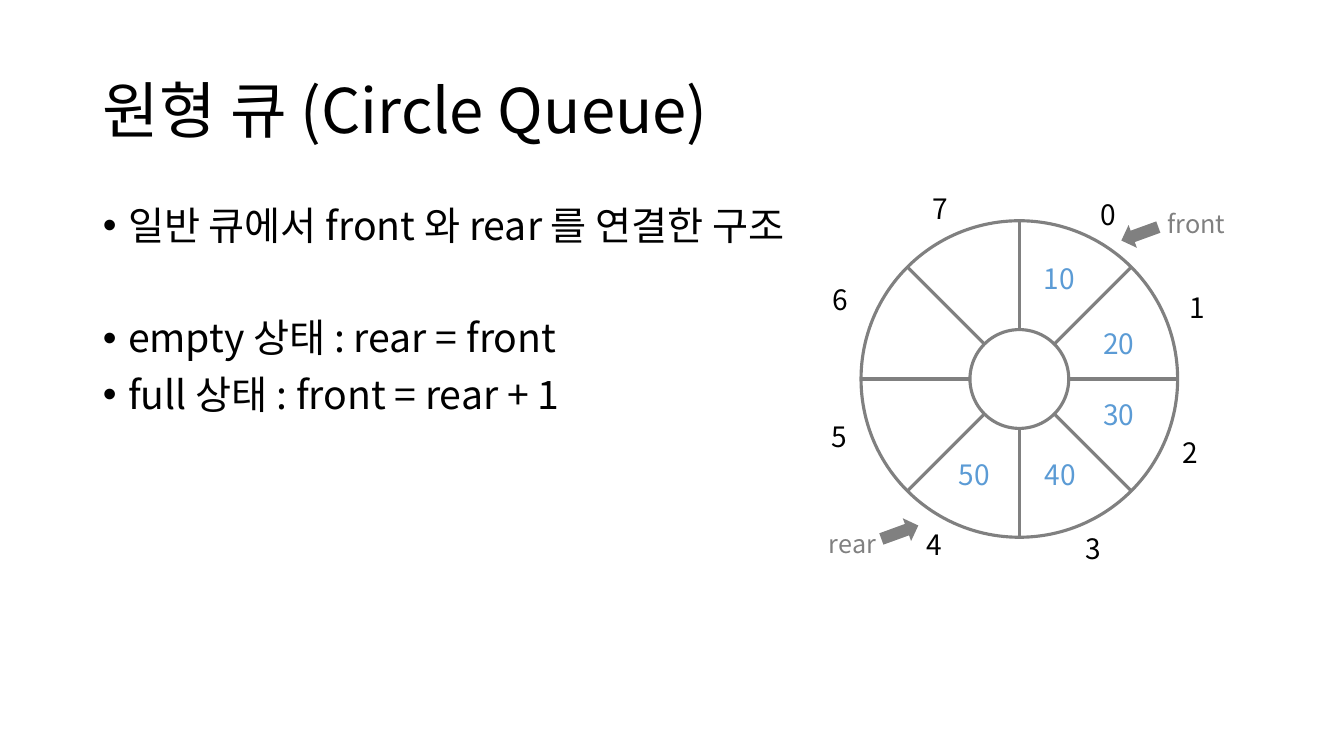
from math import cos, pi, sin

from lxml.etree import SubElement
from pptx import Presentation
from pptx.dml.color import RGBColor
from pptx.enum.shapes import MSO_CONNECTOR as Connector, MSO_SHAPE as Shape
from pptx.enum.text import MSO_ANCHOR as Anchor, MSO_AUTO_SIZE as AutoSize, PP_ALIGN as Align
from pptx.oxml.ns import qn
from pptx.util import Inches, Pt

FONT = "Noto Sans CJK KR"
BLACK, GRAY, BLUE, WHITE = "000000", "808080", "5B9BD5", "FFFFFF"
CENTER_X, CENTER_Y = 10.11, 3.76
OUTER_RADIUS, INNER_RADIUS = 1.57, 0.49
SLOTS = 8
LABEL_WIDTH = 0.77

BULLETS = [  # text, space before in points
    ("일반 큐에서 front 와 rear 를 연결한 구조", 10),
    ("empty 상태 : rear = front", 50),
    ("full 상태 : front = rear + 1", 10),
]
VALUES = [("10", 10.12, 2.55), ("20", 10.71, 3.19), ("30", 10.71, 3.89),
          ("40", 10.13, 4.49), ("50", 9.28, 4.49)]
INDEX_PLACES = [(10.61, 1.91), (11.49, 2.83), (11.42, 4.27), (10.46, 5.22),
                (8.88, 5.18), (7.94, 4.11), (7.95, 2.75), (8.94, 1.85)]
POINTERS = [  # name, label place, arrow place, arrow rotation
    ("front", (11.48, 2.02), (11.11, 2.2), 340),
    ("rear", (8.07, 5.19), (8.73, 5.16), 160),
]


def color(value):
    return RGBColor.from_string(value)


def add_span(para, text, size, hue):
    span = para.add_run()
    span.text = text
    span.font.size = Pt(size)
    span.font.name = FONT
    span.font.color.rgb = color(hue)
    east_asian = SubElement(span.font._element, qn("a:ea"))
    east_asian.set("typeface", FONT)


def place(shape, left, top, width, height):
    shape.left, shape.top = Inches(left), Inches(top)
    shape.width, shape.height = Inches(width), Inches(height)


def fill_title(title):
    place(title, 0.92, 0.4, 11.5, 1.45)
    frame = title.text_frame
    frame.auto_size = AutoSize.NONE
    frame.vertical_anchor = Anchor.MIDDLE
    para = frame.paragraphs[0]
    para.alignment = Align.LEFT
    para.line_spacing = 0.9
    add_span(para, "원형 큐 (Circle Queue)", 44, BLACK)


def fill_body(body):
    place(body, 0.92, 2, 7.45, 4.76)
    frame = body.text_frame
    frame.auto_size = AutoSize.NONE
    for number, (text, space) in enumerate(BULLETS):
        para = frame.add_paragraph() if number else frame.paragraphs[0]
        para.line_spacing = 0.9
        para.space_before = Pt(space)
        settings = para._p.get_or_add_pPr()
        settings.set("marL", str(Inches(0.25)))
        settings.set("indent", str(-Inches(0.25)))
        SubElement(settings, qn("a:buFont")).set("typeface", "Arial")
        SubElement(settings, qn("a:buChar")).set("char", "•")
        add_span(para, text, 28, BLACK)


def add_label(page, text, left, top, hue, size=20):
    height = size * 0.022
    box = page.shapes.add_textbox(Inches(left), Inches(top), Inches(LABEL_WIDTH), Inches(height))
    frame = box.text_frame
    frame.word_wrap = True
    frame.margin_left = frame.margin_right = 0
    para = frame.paragraphs[0]
    para.alignment = Align.CENTER
    add_span(para, text, size, hue)


def add_ring(page, radius, fill=None):
    ring = page.shapes.add_shape(
        Shape.OVAL, Inches(CENTER_X - radius), Inches(CENTER_Y - radius),
        Inches(2 * radius), Inches(2 * radius))
    ring.shadow.inherit = False
    if fill:
        ring.fill.solid()
        ring.fill.fore_color.rgb = color(fill)
    else:
        ring.fill.background()
    ring.line.color.rgb = color(GRAY)
    ring.line.width = Pt(2.25)


def add_diameter(page, angle):
    across, down = OUTER_RADIUS * cos(angle), OUTER_RADIUS * sin(angle)
    line = page.shapes.add_connector(
        Connector.STRAIGHT, Inches(CENTER_X - across), Inches(CENTER_Y - down),
        Inches(CENTER_X + across), Inches(CENTER_Y + down))
    line.line.color.rgb = color(GRAY)
    line.line.width = Pt(2.25)
    SubElement(line._element.spPr, qn("a:effectLst"))


def add_arrow(page, left, top, rotation):
    arrow = page.shapes.add_shape(
        Shape.LEFT_ARROW, Inches(left), Inches(top), Inches(0.39), Inches(0.24))
    arrow.rotation = rotation
    arrow.shadow.inherit = False
    arrow.fill.solid()
    arrow.fill.fore_color.rgb = color(GRAY)
    arrow.line.fill.background()


def add_queue(page):
    add_ring(page, OUTER_RADIUS)
    for number in range(SLOTS // 2):
        add_diameter(page, number * 2 * pi / SLOTS)
    add_ring(page, INNER_RADIUS, WHITE)
    for text, left, top in VALUES:
        add_label(page, text, left, top, BLUE)
    for index, (left, top) in enumerate(INDEX_PLACES):
        add_label(page, str(index), left, top, BLACK)
    for name, label_place, arrow_place, rotation in POINTERS:
        add_arrow(page, *arrow_place, rotation)
        add_label(page, name, *label_place, GRAY, 18)


def main():
    deck = Presentation()
    deck.slide_width, deck.slide_height = Inches(13.33), Inches(7.5)
    page = deck.slides.add_slide(deck.slide_layouts.get_by_name("Title and Content"))
    fill_title(page.shapes.title)
    fill_body(page.placeholders[1])
    add_queue(page)
    deck.save("out.pptx")


if __name__ == "__main__":
    main()
